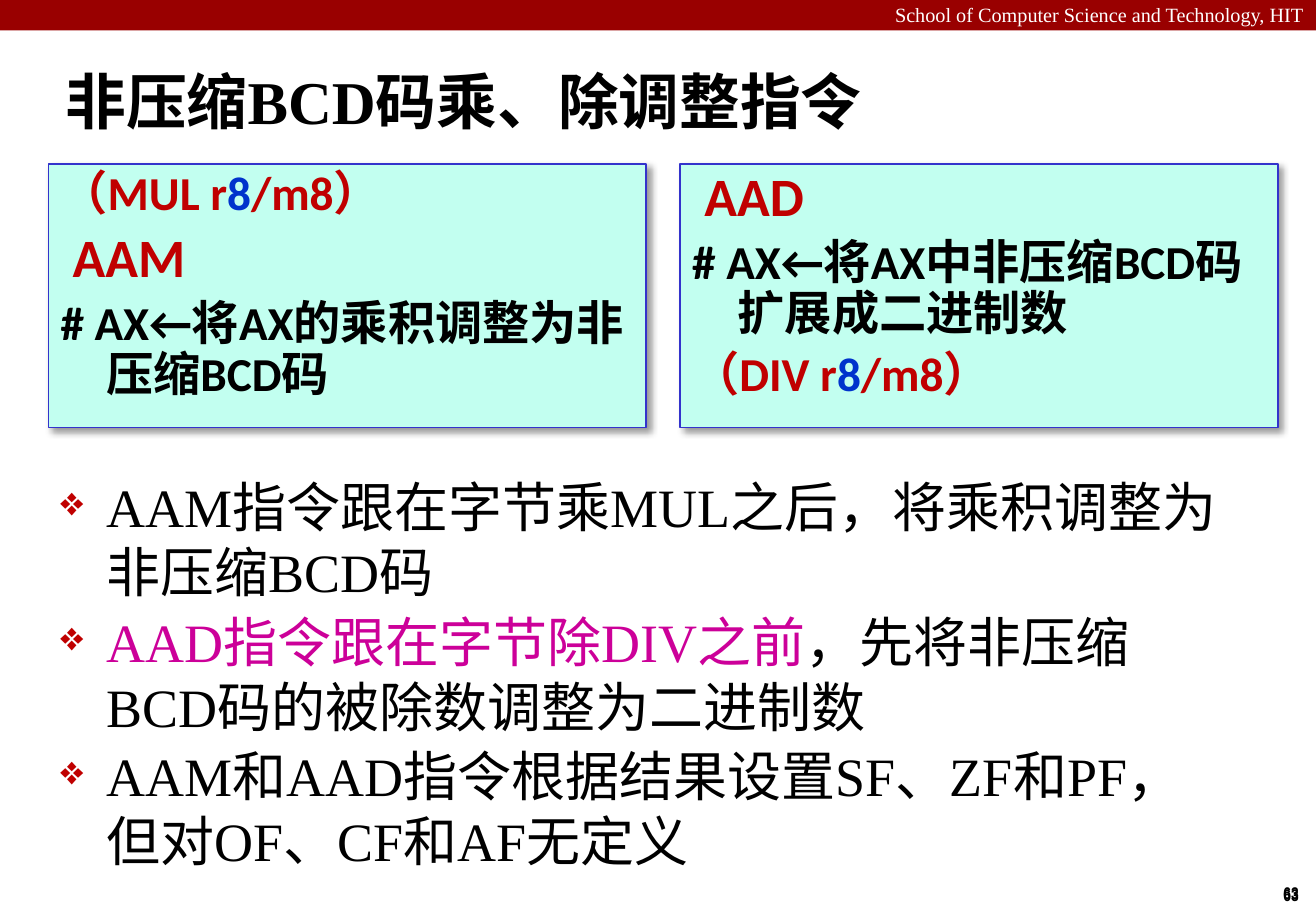
from lxml.etree import SubElement
from pptx import Presentation
from pptx.dml.color import RGBColor
from pptx.enum.shapes import MSO_SHAPE
from pptx.enum.text import MSO_ANCHOR, PP_ALIGN
from pptx.oxml.ns import qn
from pptx.util import Pt

COLORS = {
    "banner": "990000", "panel": "C2FFF0", "border": "3333CC",
    "red": "C00000", "blue": "0033CC", "magenta": "CC0099",
    "black": "000000", "white": "FFFFFF",
}
SERIF, SANS, NARROW = "Times New Roman", "Calibri", "Arial Narrow"


def rgb(name):
    return RGBColor.from_string(COLORS[name])


def add_color(parent, name):
    return SubElement(parent, qn("a:srgbClr"), val=COLORS[name])


def add_text(tf, *runs, size, font, bold=False, align=PP_ALIGN.LEFT,
             hang=0, before=0, spacing=1.0, bullet=None):
    p = tf.paragraphs[0]
    if p.runs:
        p = tf.add_paragraph()
        p.space_before = Pt(before)
    p.alignment = align
    p.line_spacing = spacing
    pPr = p._p.get_or_add_pPr()
    if hang:
        pPr.set("marL", str(Pt(hang)))
        pPr.set("indent", str(-Pt(hang)))
    if bullet:
        add_color(SubElement(pPr, qn("a:buClr")), "red")
        SubElement(pPr, qn("a:buSzPct"), val="75000")
        SubElement(pPr, qn("a:buChar"), char=bullet)
    for text, color in runs:
        r = p.add_run()
        r.text = text
        r.font.size = Pt(size)
        r.font.name = font
        r.font.bold = bold
        r.font.color.rgb = rgb(color)


def add_box(s, x, y, w, h, anchor=MSO_ANCHOR.TOP, wrap=True):
    tf = s.shapes.add_textbox(Pt(x), Pt(y), Pt(w), Pt(h)).text_frame
    tf.word_wrap = wrap
    tf.vertical_anchor = anchor
    return tf


def add_rect(s, x, y, w, h, fill, border=None):
    sp = s.shapes.add_shape(MSO_SHAPE.RECTANGLE, Pt(x), Pt(y), Pt(w), Pt(h))
    sp.shadow.inherit = False
    sp.fill.solid()
    sp.fill.fore_color.rgb = rgb(fill)
    if border:
        sp.line.color.rgb = rgb(border)
        sp.line.width = Pt(1)
    else:
        sp.line.fill.background()
    return sp


def add_shadow(sp):
    effects = sp._element.spPr.find(qn("a:effectLst"))
    shadow = SubElement(effects, qn("a:outerShdw"), blurRad=str(Pt(4)),
                        dist=str(Pt(3)), dir="2700000", algn="tl", rotWithShape="0")
    SubElement(add_color(shadow, "black"), qn("a:alpha"), val="40000")


def add_panel(s, x, lines):
    sp = add_rect(s, x, 97.2, 354.2, 156.2, "panel", "border")
    add_shadow(sp)
    tf = sp.text_frame
    tf.word_wrap = True
    tf.vertical_anchor = MSO_ANCHOR.TOP
    for size, runs in lines:
        add_text(tf, *runs, size=size, font=SANS, bold=True,
                 hang=27, before=6, spacing=0.9)


def operand_line(name):
    return 28, [(f"（{name} r", "red"), ("8", "blue"), ("/m8）", "red")]


def main():
    prs = Presentation()
    prs.slide_width, prs.slide_height = Pt(780), Pt(540)
    s = prs.slides.add_slide(prs.slide_layouts[6])

    add_rect(s, 0, 0, 780, 18, "banner")
    add_text(add_box(s, 0, -2, 780, 21.6),
             ("School of Computer Science and Technology, HIT", "white"),
             size=12, font=SERIF, align=PP_ALIGN.RIGHT)
    for y in (520.6, 519.8):
        add_text(add_box(s, 753, y, 24.5, 19.4, wrap=False), ("63", "black"),
                 size=10, font=NARROW, bold=True, align=PP_ALIGN.CENTER)

    add_text(add_box(s, 31.7, 29.5, 741.6, 59.8, MSO_ANCHOR.MIDDLE),
             ("非压缩BCD码乘、除调整指令", "black"),
             size=36, font=SERIF, bold=True, hang=9)

    add_panel(s, 28.8, [
        operand_line("MUL"),
        (32, [(" AAM", "red")]),
        (28, [("# AX←将AX的乘积调整为非压缩BCD码", "black")]),
    ])
    add_panel(s, 403.2, [
        (32, [(" AAD", "red")]),
        (28, [("# AX←将AX中非压缩BCD码扩展成二进制数", "black")]),
        operand_line("DIV"),
    ])

    notes = [
        [("AAM指令跟在字节乘MUL之后，将乘积调整为非压缩BCD码", "black")],
        [("AAD指令跟在字节除DIV之前", "magenta"),
         ("，先将非压缩BCD码的被除数调整为二进制数", "black")],
        [("AAM和AAD指令根据结果设置SF、ZF和PF，但对OF、CF和AF无定义", "black")],
    ]
    tf = add_box(s, 28.8, 277.2, 708.5, 227.5)
    for runs in notes:
        add_text(tf, *runs, size=32, font=SERIF, hang=27, before=3, bullet="❖")

    prs.save("out.pptx")


if __name__ == "__main__":
    main()
